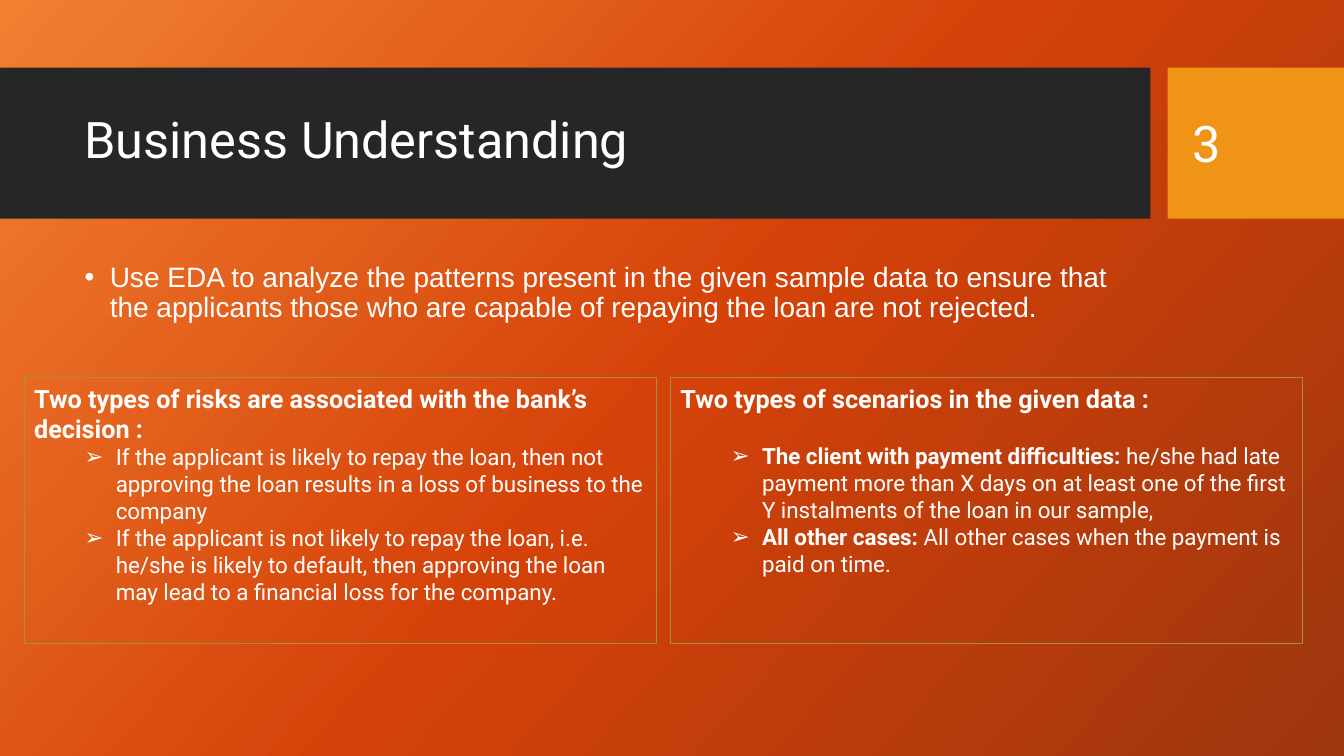
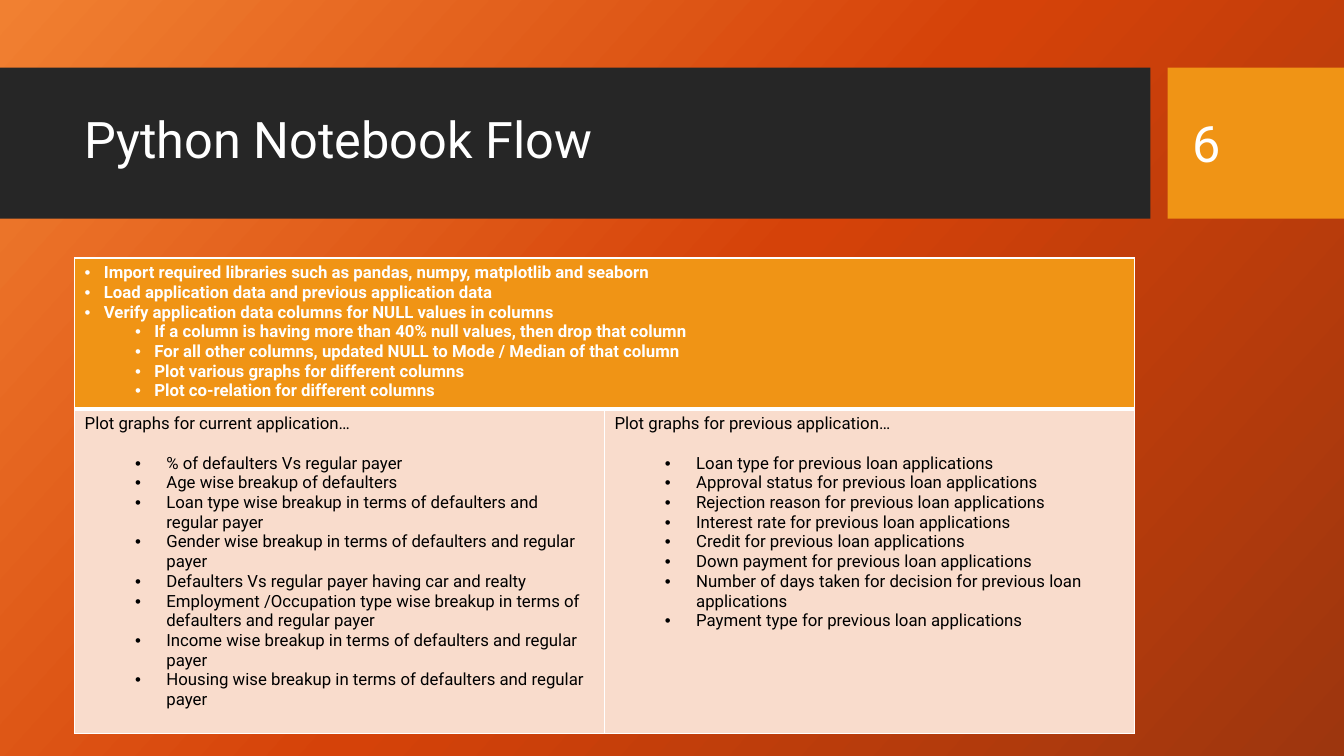
from collections import namedtuple
from copy import deepcopy
from dataclasses import dataclass

from lxml.etree import SubElement
from pptx import Presentation
from pptx.dml.color import RGBColor
from pptx.enum.shapes import MSO_SHAPE
from pptx.enum.text import MSO_ANCHOR, PP_ALIGN
from pptx.oxml.ns import qn
from pptx.util import Inches, Pt

Box = namedtuple("Box", "left top width height")


@dataclass(frozen=True)
class Theme:
    font: str = "Roboto"
    body_font: str = "Arial"
    white: str = "FFFFFF"
    black: str = "000000"
    band: str = "262626"
    accent: str = "F09415"
    tint: str = "F9DCCC"
    card_line: str = "9F9242"
    gradient: tuple = ((0, "F18031"), (0.5, "D54209"), (1, "9D360E"))
    gradient_angle: int = 42
    title_size: int = 36
    lead_size: int = 20
    heading_size: int = 18
    item_size: int = 16
    table_size: int = 12


THEME = Theme()
SLIDE = Box(0, 0, 13.33, 7.5)
HEADER = Box(0, 0.67, 13.33, 1.5)
MARGIN, CONTENT_WIDTH, CONTENT_TOP = 0.74, 10.51, 2.56

RISKS = (
    "If the applicant is likely to repay the loan, then not approving the loan "
    "results in a loss of business to the company",
    "If the applicant is not likely to repay the loan, i.e. he/she is likely to "
    "default, then approving the loan may lead to a financial loss for the company.",
)
SCENARIOS = (
    ("The client with payment difficulties:",
     " he/she had late payment more than X days on at least one of the first "
     "Y instalments of the loan in our sample,"),
    ("All other cases:", " All other cases when the payment is paid on time."),
)
STEPS = (
    "Import required libraries such as pandas, numpy, matplotlib and seaborn",
    "Load application data and previous application data",
    "Verify application data columns for NULL values in columns",
)
SUBSTEPS = (
    "If a column is having more than 40% null values, then drop that column",
    "For all other columns, updated NULL to Mode / Median of that column",
    "Plot various graphs for different columns",
    "Plot co-relation for different columns",
)
CURRENT_PLOTS = (
    "% of defaulters Vs regular payer",
    "Age wise breakup of defaulters",
    "Loan type wise breakup in terms of defaulters and regular payer",
    "Gender wise breakup in terms of defaulters and regular payer",
    "Defaulters Vs regular payer having car and realty",
    "Employment /Occupation type wise breakup in terms of defaulters and regular payer",
    "Income wise breakup in terms of defaulters and regular payer",
    "Housing wise breakup in terms of defaulters and regular payer",
)
PREVIOUS_PLOTS = tuple(
    f"{subject} previous loan applications"
    for subject in (
        "Loan type for", "Approval status for", "Rejection reason for",
        "Interest rate for", "Credit for", "Down payment for",
        "Number of days taken for decision for", "Payment type for",
    )
)


def color(value):
    return RGBColor.from_string(value)


def place(box):
    return [Inches(length) for length in box]


# Text
def write(frame, text, size, lead="", font=THEME.font, ink=THEME.white, bold=False,
          bullet=None, indent=0, hanging=0, spacing=None, after=0):
    """Add a paragraph, optionally opened by a bold lead."""
    para = frame.paragraphs[0]
    if para.runs:
        para = frame.add_paragraph()
    para.alignment = PP_ALIGN.LEFT
    para.space_after = Pt(after)
    if spacing:
        para.line_spacing = spacing
    for part, heavy in ((lead, True), (text, bold)):
        if part:
            span = para.add_run()
            span.text = part
            span.font.name = font
            span.font.size = Pt(size)
            span.font.bold = heavy
            span.font.color.rgb = color(ink)
    if bullet:
        props = para._p.get_or_add_pPr()
        props.set("marL", str(Inches(indent)))
        props.set("indent", str(-Inches(hanging)))
        SubElement(props, qn("a:buFont")).set("typeface", THEME.body_font)
        SubElement(props, qn("a:buChar")).set("char", bullet)


def text_box(page, box, anchor=MSO_ANCHOR.TOP):
    frame = page.shapes.add_textbox(*place(box)).text_frame
    frame.word_wrap = True
    frame.vertical_anchor = anchor
    return frame


def rectangle(page, box, fill=None, line=None):
    shape = page.shapes.add_shape(MSO_SHAPE.RECTANGLE, *place(box))
    shape.shadow.inherit = False
    if fill:
        shape.fill.solid()
        shape.fill.fore_color.rgb = color(fill)
    else:
        shape.fill.background()
    if line:
        shape.line.color.rgb = color(line)
        shape.line.width = Pt(0.75)
    else:
        shape.line.fill.background()
    return shape


# Shared background and header
def paint_background(master):
    fill = master.background.fill
    fill.gradient()
    fill.gradient_angle = 360 - THEME.gradient_angle
    stops = master.element.find(".//" + qn("p:bg")).find(".//" + qn("a:gsLst"))
    stops.append(deepcopy(stops[-1]))
    for stop, (position, value) in zip(fill.gradient_stops, THEME.gradient):
        stop.position = position
        stop.color.rgb = color(value)


def add_header(page, box, title, number):
    number_width, gap = 1.75, 0.17
    number_left = box.left + box.width - number_width
    band_width = box.width - number_width - gap
    rectangle(page, Box(box.left, box.top, band_width, box.height), fill=THEME.band)
    rectangle(page, Box(number_left, box.top, number_width, box.height), fill=THEME.accent)
    labels = (
        (title, box.left + MARGIN, CONTENT_WIDTH, 0.9),
        (number, number_left + 0.15, 1.26, None),
    )
    for text, left, width, spacing in labels:
        frame = text_box(page, Box(left, box.top + 0.15, width, 1.18), MSO_ANCHOR.MIDDLE)
        write(frame, text, THEME.title_size, spacing=spacing)


def new_page(deck, title, number):
    page = deck.slides.add_slide(deck.slide_layouts[6])
    add_header(page, HEADER, title, number)
    return page


# Outlined card with a heading and arrow bullets
def add_card(page, box, heading, items, heading_gap=0):
    frame = rectangle(page, box, line=THEME.card_line).text_frame
    frame.word_wrap = True
    frame.vertical_anchor = MSO_ANCHOR.TOP
    write(frame, heading, THEME.heading_size, bold=True, after=heading_gap)
    for lead, text in items:
        write(frame, text, THEME.item_size, lead=lead, bullet="➢", indent=0.81, hanging=0.31)


def build_understanding(deck):
    page = new_page(deck, "Business Understanding", "3")
    frame = text_box(page, Box(MARGIN, CONTENT_TOP, CONTENT_WIDTH, 0.96))
    write(frame, "Use EDA to analyze the patterns present in the given sample data to ensure "
          "that the applicants those who are capable of repaying the loan are not rejected.",
          THEME.lead_size, font=THEME.body_font, bullet="•", indent=0.25, hanging=0.25,
          spacing=0.9)
    card = Box(0.24, 3.75, 6.27, 2.63)
    add_card(page, card, "Two types of risks are associated with the bank’s decision :",
             [("", text) for text in RISKS])
    add_card(page, card._replace(left=card.left + card.width + 0.14),
             "Two types of scenarios in the given data :", SCENARIOS, heading_gap=21)


# Table of notebook steps and plots
def style_cell(cell, fill, top=1, bottom=1):
    props = cell._tc.get_or_add_tcPr()
    for side, width in (("L", 1), ("R", 1), ("T", top), ("B", bottom)):
        line = SubElement(props, qn(f"a:ln{side}"), w=str(Pt(width)))
        SubElement(SubElement(line, qn("a:solidFill")), qn("a:srgbClr"), val=THEME.white)
    cell.fill.solid()
    cell.fill.fore_color.rgb = color(fill)


def add_flow_table(page, box):
    table = page.shapes.add_table(2, 2, *place(box)).table
    for column in table.columns:
        column.width = Inches(box.width / 2)
    steps_height = 1.46
    table.rows[0].height = Inches(steps_height)
    table.rows[1].height = Inches(box.height - steps_height)
    for column in range(2):
        style_cell(table.cell(0, column), THEME.accent, bottom=3)
        style_cell(table.cell(1, column), THEME.tint, top=3)

    steps_cell = table.cell(0, 0)
    steps_cell.merge(table.cell(0, 1))
    for texts, indent in ((STEPS, 0.19), (SUBSTEPS, 0.69)):
        for text in texts:
            write(steps_cell.text_frame, text, THEME.table_size, bold=True,
                  bullet="•", indent=indent, hanging=0.19)

    plots = (("current", CURRENT_PLOTS), ("previous", PREVIOUS_PLOTS))
    for column, (period, texts) in enumerate(plots):
        frame = table.cell(1, column).text_frame
        write(frame, f"Plot graphs for {period} application…", THEME.table_size,
              ink=THEME.black, after=14)
        for text in texts:
            write(frame, text, THEME.table_size, ink=THEME.black,
                  bullet="•", indent=0.81, hanging=0.31)


def build_flow(deck):
    page = new_page(deck, "Python Notebook Flow", "6")
    add_flow_table(page, Box(MARGIN, CONTENT_TOP, CONTENT_WIDTH, 4.68))


def main():
    deck = Presentation()
    deck.slide_width = Inches(SLIDE.width)
    deck.slide_height = Inches(SLIDE.height)
    paint_background(deck.slide_master)
    build_understanding(deck)
    build_flow(deck)
    deck.save("out.pptx")


if __name__ == "__main__":
    main()
